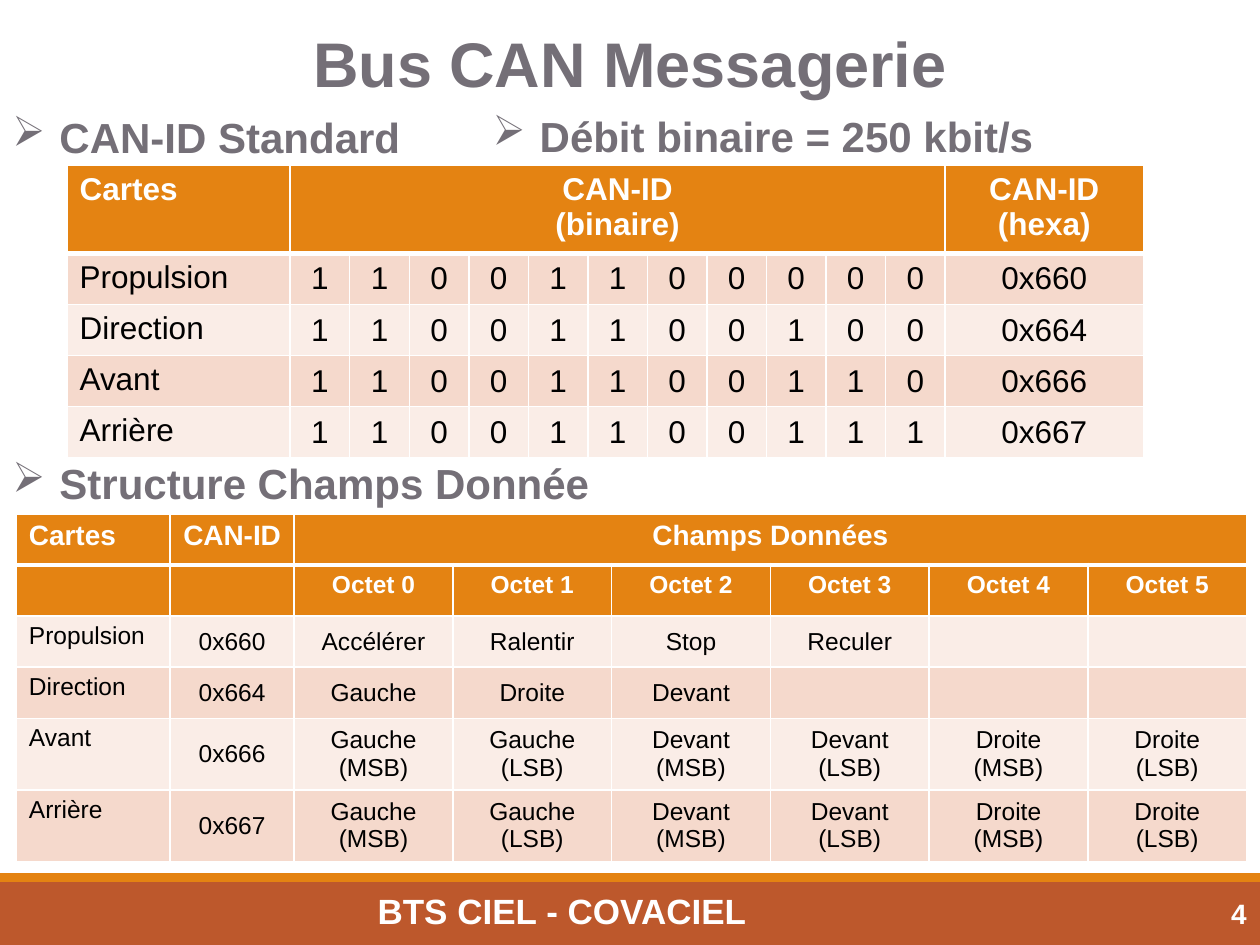
"""Builds the slide on CAN bus messages with its two tables."""
from lxml.etree import SubElement
from pptx import Presentation
from pptx.dml.color import RGBColor
from pptx.enum.shapes import MSO_SHAPE as Shape
from pptx.enum.text import MSO_ANCHOR as Anchor, PP_ALIGN as Align
from pptx.oxml.ns import qn
from pptx.util import Cm, Pt

WHITE = RGBColor(0xFF, 0xFF, 0xFF)
BLACK = RGBColor(0x00, 0x00, 0x00)
GREY = RGBColor(0x74, 0x6F, 0x77)
ORANGE = RGBColor(0xE4, 0x83, 0x12)
RUST = RGBColor(0xBD, 0x58, 0x2C)
PEACH = RGBColor(0xF5, 0xD9, 0xCC)
PALE = RGBColor(0xFA, 0xED, 0xE7)


def write(frame, text, size, color, bold=True, align=Align.CENTER, anchor=Anchor.TOP):
    """Put formatted text into a text frame."""
    frame.text = text
    frame.word_wrap = True
    frame.vertical_anchor = anchor
    for para in frame.paragraphs:
        para.alignment = align
        for span in para.runs:
            span.font.name = "Arial"
            span.font.size = Pt(size)
            span.font.bold = bold
            span.font.color.rgb = color


def add_grid(left, top, widths, heights, rows, header_sizes, body_size, span):
    """Add a table whose first row merges the columns given by span."""
    frame = slide.shapes.add_table(
        len(rows), len(widths), Cm(left), Cm(top), Cm(sum(widths)), Cm(sum(heights)))
    table = frame.table
    table.horz_banding = False
    for column, width in zip(table.columns, widths):
        column.width = Cm(width)
    for row, height in zip(table.rows, heights):
        row.height = Cm(height)
    table.cell(0, span[0]).merge(table.cell(0, span[1]))
    for r, values in enumerate(rows):
        header = r < len(header_sizes)
        size = header_sizes[r] if header else body_size
        for c, value in enumerate(values):
            cell = table.cell(r, c)
            write(cell.text_frame, value, size, WHITE if header else BLACK, header,
                  Align.CENTER if c else Align.LEFT)
            cell.vertical_anchor = Anchor.TOP if header or c == 0 else Anchor.MIDDLE
            properties = cell._tc.get_or_add_tcPr()
            for side in ("lnL", "lnR", "lnT", "lnB"):
                thick = (r, side) in ((0, "lnB"), (1, "lnT"))
                line = SubElement(properties, qn(f"a:{side}"), w=str(Pt(3 if thick else 0.96)))
                fill = SubElement(line, qn("a:solidFill"))
                SubElement(fill, qn("a:srgbClr"), val=str(WHITE))
            cell.fill.solid()
            cell.fill.fore_color.rgb = ORANGE if header else PEACH if r % 2 else PALE


deck = Presentation()
deck.slide_width, deck.slide_height = Cm(25.4), Cm(19.05)
slide = deck.slides.add_slide(deck.slide_layouts[5])

for top, height, color in ((17.78, 1.27, RUST), (17.6, 0.18, ORANGE)):
    band = slide.shapes.add_shape(Shape.RECTANGLE, 0, Cm(top), Cm(25.4), Cm(height))
    band.shadow.inherit = False
    band.fill.solid()
    band.fill.fore_color.rgb = color
    band.line.fill.background()

title = slide.shapes.title
title.left, title.top, title.width, title.height = 0, Cm(0.36), Cm(25.4), Cm(1.78)
write(title.text_frame, "Bus CAN Messagerie", 36, GREY)

footers = (
    ("BTS CIEL - COVACIEL", 0, 17.78, 22.66, 1.14, 20, Align.CENTER),
    ("4", 22.66, 17.91, 2.72, 1.02, 16, Align.RIGHT),
)
for text, left, top, width, height, size, align in footers:
    box = slide.shapes.add_textbox(Cm(left), Cm(top), Cm(width), Cm(height))
    write(box.text_frame, text, size, WHITE, align=align, anchor=Anchor.MIDDLE)

headings = (
    ("CAN-ID Standard", 0, 2.13),
    ("Débit binaire = 250 kbit/s", 9.68, 2.11),
    ("Structure Champs Donnée", 0, 9.1),
)
for text, left, top in headings:
    box = slide.shapes.add_textbox(Cm(left), Cm(top), Cm(12.22), Cm(1.27))
    write(box.text_frame, text, 24, GREY, align=Align.JUSTIFY)
    properties = box.text_frame.paragraphs[0]._p.get_or_add_pPr()
    properties.set("marL", str(Cm(0.95)))
    properties.set("indent", str(Cm(-0.95)))
    bullet_color = SubElement(properties, qn("a:buClr"))
    SubElement(bullet_color, qn("a:srgbClr"), val=str(GREY))
    SubElement(properties, qn("a:buChar"), char="➢")

identifiers = {"Propulsion": 0x660, "Direction": 0x664, "Avant": 0x666, "Arrière": 0x667}
id_rows = [["Cartes", "CAN-ID\n(binaire)", *[""] * 10, "CAN-ID\n(hexa)"]]
for card, number in identifiers.items():
    id_rows.append([card, *f"{number:011b}", f"0x{number:x}"])
add_grid(1.35, 3.33, [4.5] + [1.2] * 11 + [4], [1.75] + [1.03] * 4,
         id_rows, [18], 18, (1, 11))

wheel_bytes = [f"{wheel}\n({part})" for wheel in ("Gauche", "Devant", "Droite")
               for part in ("MSB", "LSB")]
card_bytes = {
    "Propulsion": ["Accélérer", "Ralentir", "Stop", "Reculer", "", ""],
    "Direction": ["Gauche", "Droite", "Devant", "", "", ""],
    "Avant": wheel_bytes,
    "Arrière": wheel_bytes,
}
data_rows = [
    ["Cartes", "CAN-ID", "Champs Données", *[""] * 5],
    ["", "", *[f"Octet {index}" for index in range(6)]],
]
for card, values in card_bytes.items():
    data_rows.append([card, f"0x{identifiers[card]:x}", *values])
add_grid(0.33, 10.36, [3.1, 2.5] + [3.2] * 6, [1.03] * 4 + [1.43] * 2,
         data_rows, [16, 14], 14, (2, 7))

deck.save("out.pptx")
